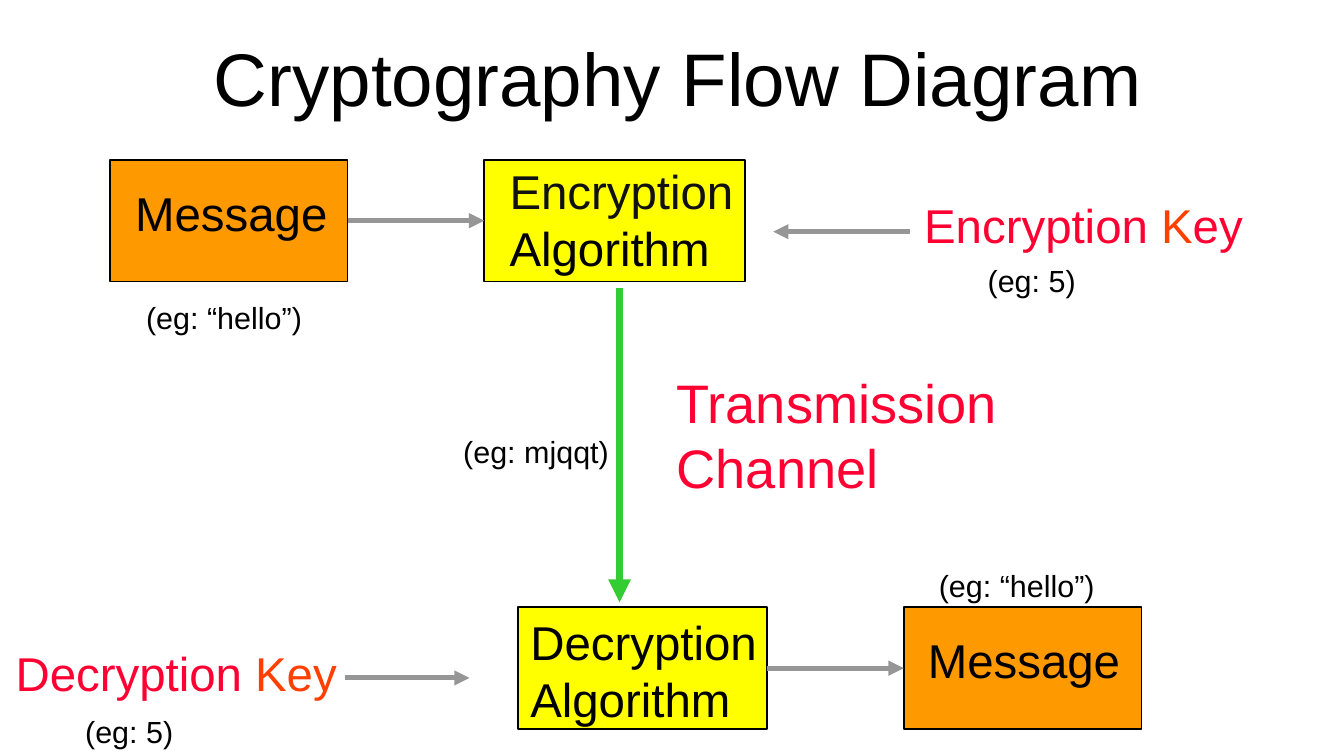
from dataclasses import dataclass

from lxml import etree
from pptx import Presentation
from pptx.dml.color import RGBColor
from pptx.enum.shapes import MSO_CONNECTOR, MSO_SHAPE
from pptx.enum.text import MSO_ANCHOR, PP_ALIGN
from pptx.oxml.ns import qn
from pptx.slide import Slide
from pptx.util import Inches, Pt

RECT = MSO_SHAPE.RECTANGLE
STRAIGHT = MSO_CONNECTOR.STRAIGHT
MIDDLE = MSO_ANCHOR.MIDDLE
TOP = MSO_ANCHOR.TOP
CENTER = PP_ALIGN.CENTER
LEFT = PP_ALIGN.LEFT

BLACK = RGBColor(0x00, 0x00, 0x00)
NEAR_BLACK = RGBColor(0x11, 0x11, 0x11)
YELLOW = RGBColor(0xFF, 0xFF, 0x00)
ORANGE = RGBColor(0xFF, 0x99, 0x00)
RED = RGBColor(0xFF, 0x00, 0x33)
RED_ORANGE = RGBColor(0xFF, 0x40, 0x00)
GRAY = RGBColor(0x96, 0x96, 0x96)
GREEN = RGBColor(0x33, 0xCC, 0x33)

FONT = "Arial"
BOX_H = 1.0
TOP_ROW, BOTTOM_ROW = 1.31, 4.98


@dataclass
class Box:
    x: float
    y: float
    w: float
    fill: RGBColor


@dataclass
class Label:
    x: float
    y: float
    w: float
    h: float
    runs: list[tuple[str, RGBColor]]
    size: int = 28
    wrap: bool = True
    centered: bool = False
    margin_left: float = 0.1


@dataclass
class Arrow:
    x1: float
    y1: float
    x2: float
    y2: float
    color: RGBColor = GRAY
    width: float = 3


def example(x: float, y: float, text: str, w: float = 1.7) -> Label:
    return Label(x, y, w, 0.38, [(text, BLACK)], size=18)


BOXES = [
    Box(0.9, TOP_ROW, 1.95, ORANGE),
    Box(3.97, TOP_ROW, 2.14, YELLOW),
    Box(4.25, BOTTOM_ROW, 2.04, YELLOW),
    Box(7.41, BOTTOM_ROW, 1.95, ORANGE),
]

LABELS = [
    # Title
    Label(0.7, 0, 9.48, 1.25, [("Cryptography Flow Diagram", BLACK)],
          size=44, centered=True, margin_left=0.34),
    # Box captions
    Label(1.01, 1.46, 1.79, 0.57, [("Message", BLACK)]),
    Label(4.08, 1.28, 2.23, 1.04,
          [("Encryption ", NEAR_BLACK), ("Algorithm", BLACK)]),
    Label(4.25, 4.98, 2.32, 1.04, [("Decryption Algorithm", BLACK)]),
    Label(7.51, 5.13, 1.79, 0.57, [("Message", BLACK)]),
    # Keys and channel
    Label(7.48, 1.56, 3.5, 0.57,
          [("Encryption ", RED), ("K", RED_ORANGE), ("ey", RED)]),
    Label(0.03, 5.23, 2.83, 0.57,
          [("Decryption ", RED), ("Key", RED_ORANGE)], wrap=False),
    Label(5.45, 2.98, 3.53, 1.17, [("Transmission Channel", RED)], size=32),
    # Examples
    example(1.1, 2.4, "(eg: “hello”)"),
    example(8, 2.1, "(eg: 5)"),
    example(3.7, 3.5, "(eg: mjqqt)", w=1.5),
    example(7.6, 4.6, "(eg: “hello”)"),
    example(0.6, 5.8, "(eg: 5)"),
]

ARROWS = [
    Arrow(2.85, 1.81, 3.97, 1.81),
    Arrow(7.46, 1.9, 6.34, 1.9),
    Arrow(5.08, 2.36, 5.08, 4.94, GREEN, 4.5),
    Arrow(2.83, 5.56, 3.85, 5.56),
    Arrow(6.29, 5.48, 7.41, 5.48),
]


def draw_box(s: Slide, box: Box) -> None:
    sp = s.shapes.add_shape(RECT, Inches(box.x), Inches(box.y),
                            Inches(box.w), Inches(BOX_H))
    sp.shadow.inherit = False
    sp.fill.solid()
    sp.fill.fore_color.rgb = box.fill
    sp.line.color.rgb = BLACK
    sp.line.width = Pt(1)


def draw_label(s: Slide, label: Label) -> None:
    sp = s.shapes.add_textbox(Inches(label.x), Inches(label.y),
                              Inches(label.w), Inches(label.h))
    tf = sp.text_frame
    tf.word_wrap = label.wrap
    tf.margin_left = Inches(label.margin_left)
    tf.vertical_anchor = MIDDLE if label.centered else TOP
    p = tf.paragraphs[0]
    p.alignment = CENTER if label.centered else LEFT
    for text, color in label.runs:
        r = p.add_run()
        r.text = text
        r.font.name = FONT
        r.font.size = Pt(label.size)
        r.font.color.rgb = color


def draw_arrow(s: Slide, arrow: Arrow) -> None:
    cxn = s.shapes.add_connector(STRAIGHT, Inches(arrow.x1), Inches(arrow.y1),
                                 Inches(arrow.x2), Inches(arrow.y2))
    cxn.line.color.rgb = arrow.color
    cxn.line.width = Pt(arrow.width)
    # Arrowhead at the end, no shadow
    etree.SubElement(cxn.line._get_or_add_ln(), qn("a:tailEnd"), type="triangle")
    etree.SubElement(cxn._element.spPr, qn("a:effectLst"))


def main() -> None:
    prs = Presentation()
    prs.slide_width, prs.slide_height = Inches(11.02), Inches(6.2)
    s = prs.slides.add_slide(prs.slide_layouts[6])
    for box in BOXES:
        draw_box(s, box)
    for label in LABELS:
        draw_label(s, label)
    for arrow in ARROWS:
        draw_arrow(s, arrow)
    prs.save("out.pptx")


if __name__ == "__main__":
    main()
